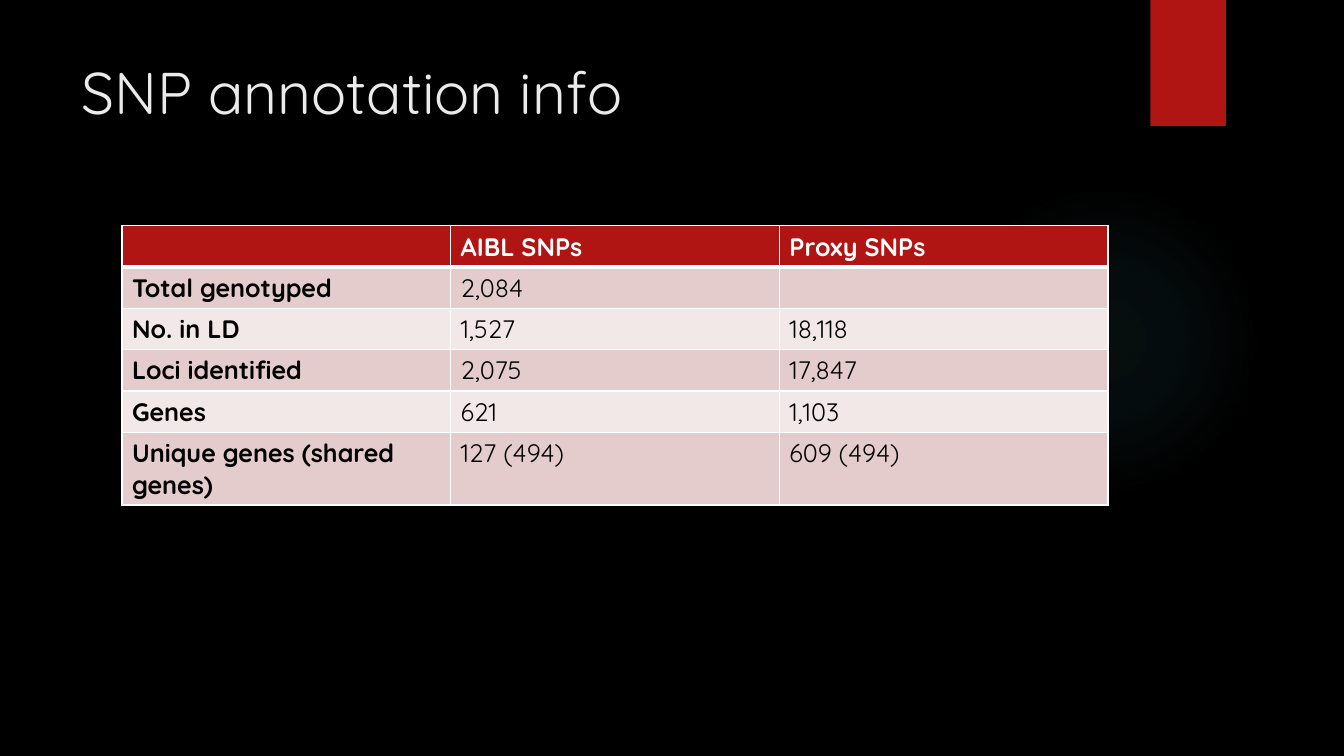
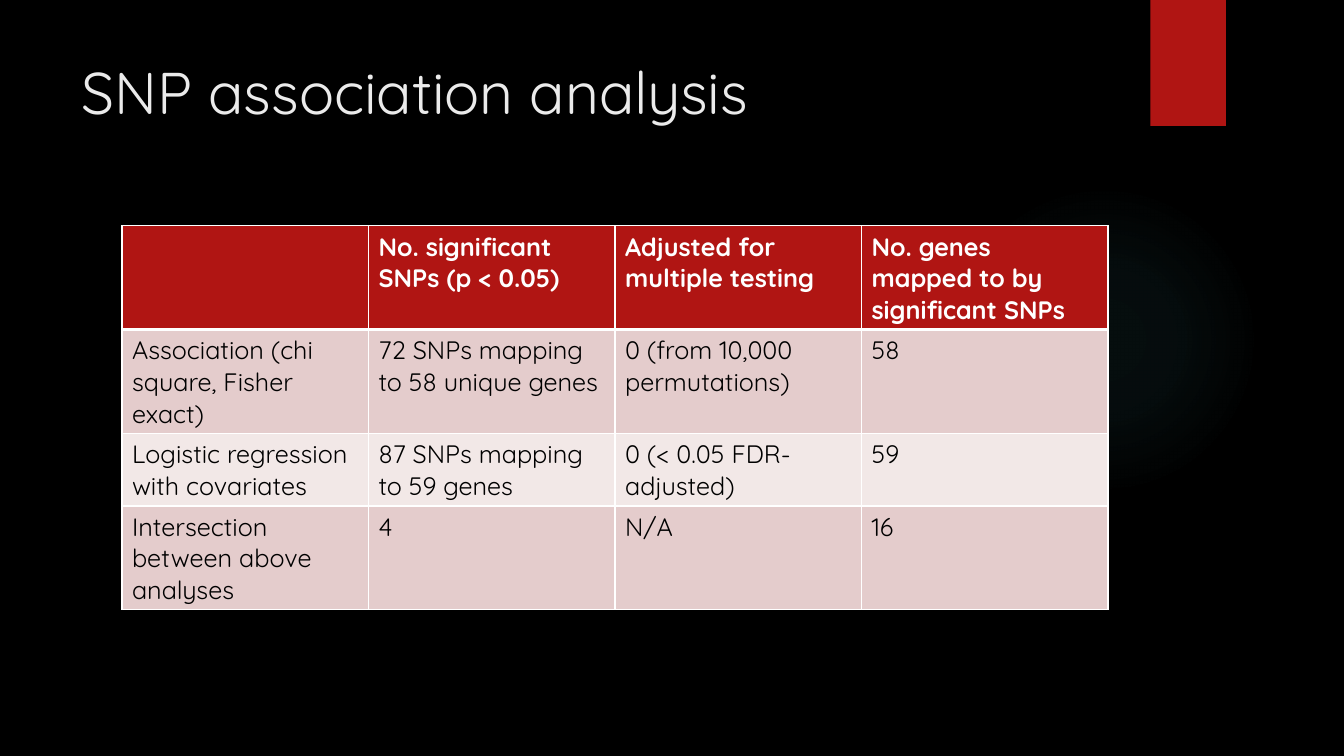
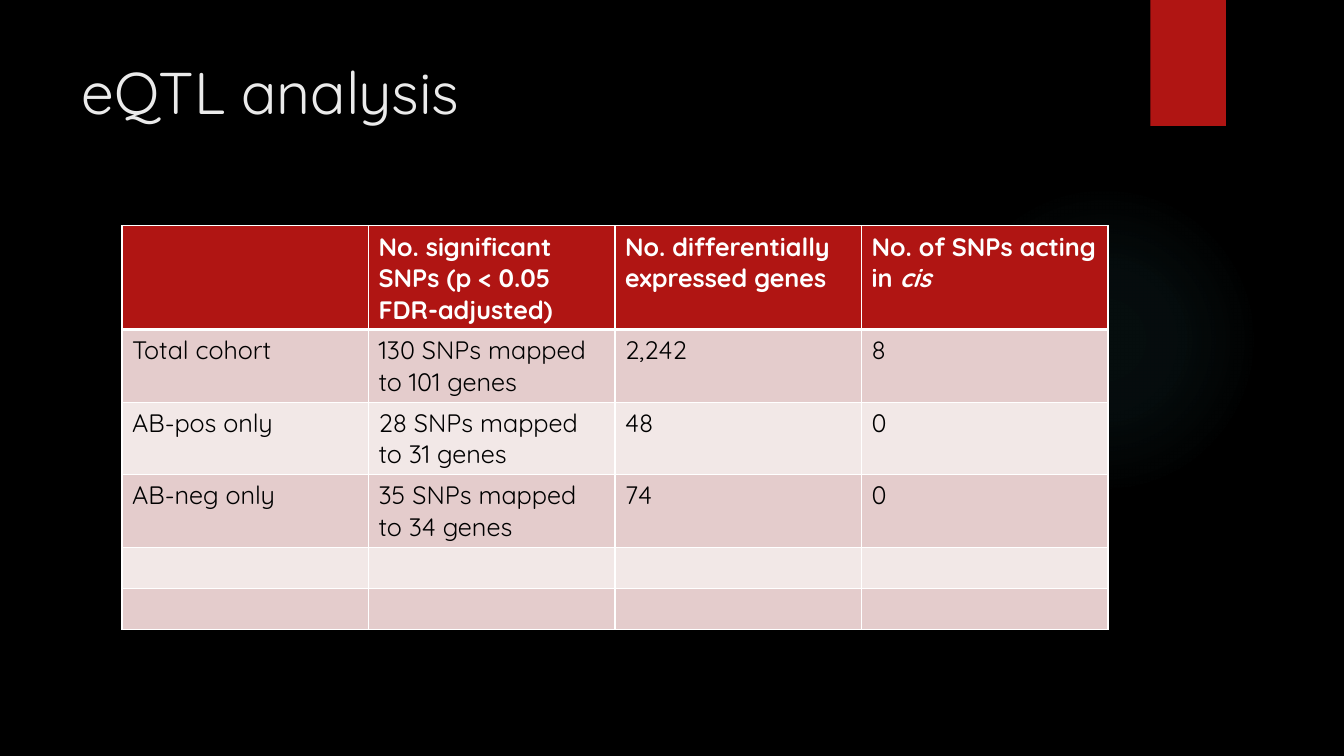
from lxml import etree
from pptx import Presentation
from pptx.dml.color import RGBColor
from pptx.enum.shapes import MSO_SHAPE as Shape
from pptx.enum.text import MSO_ANCHOR as Anchor
from pptx.oxml import parse_xml
from pptx.oxml.ns import nsdecls, qn
from pptx.util import Inches, Pt

COLORS = {
    "background": "000000",
    "accent": "B01513",
    "glow": "50B9C1",
    "title": "EBEBEB",
    "header_text": "FFFFFF",
    "body_text": "000000",
    "border": "FFFFFF",
    "odd_row": "E4CCCC",
    "even_row": "F2E8E7",
}
FONT = "Quicksand"

# Regions as left, top, width, height in inches
GLOW_BOX = (9.41, 1.83, 3.08, 3.08)
RIBBON_BOX = (11.41, 0, 0.75, 1.25)
TITLE_BOX = (0.71, 0.5, 10.29, 1.53)
TABLE_BOX = (1.21, 2.24, 9.78)
LINE_HEIGHT, CELL_PADDING = 0.31, 0.1

# Gradient position and opacity, both in percent
GLOW_STOPS = [(0, 7), (36, 6), (69, 0)]

# Each row: number of text lines it holds, then its cells.
# A cell given as a pair ends in an italic run.
TABLES = [
    ("SNP annotation info", True, [
        (1, ["", "AIBL SNPs", "Proxy SNPs"]),
        (1, ["Total genotyped", "2,084", ""]),
        (1, ["No. in LD", "1,527", "18,118"]),
        (1, ["Loci identified", "2,075", "17,847"]),
        (1, ["Genes", "621", "1,103"]),
        (2, ["Unique genes (shared genes)", "127 (494)", "609 (494)"]),
    ]),
    ("SNP association analysis", False, [
        (3, ["", "No. significant SNPs (p < 0.05)", "Adjusted for multiple testing",
             "No. genes mapped to by significant SNPs"]),
        (3, ["Association (chi square, Fisher exact)", "72 SNPs mapping to 58 unique genes",
             "0 (from 10,000 permutations)", "58"]),
        (2, ["Logistic regression with covariates", "87 SNPs mapping to 59 genes",
             "0 (< 0.05 FDR-adjusted)", "59"]),
        (3, ["Intersection between above analyses", "4", "N/A", "16"]),
    ]),
    ("eQTL analysis", False, [
        (3, ["", "No. significant SNPs (p < 0.05 FDR-adjusted)",
             "No. differentially expressed genes", ("No. of SNPs acting in ", "cis")]),
        (2, ["Total cohort", "130 SNPs mapped to 101 genes", "2,242", "8"]),
        (2, ["AB-pos only", "28 SNPs mapped to 31 genes", "48", "0"]),
        (2, ["AB-neg only", "35 SNPs mapped to 34 genes", "74", "0"]),
        (1, [""] * 4),
        (1, [""] * 4),
    ]),
]


def paint(fill, name):
    fill.solid()
    fill.fore_color.rgb = RGBColor.from_string(COLORS[name])


def set_font(font, size, color, bold=False):
    font.name = FONT
    font.size = Pt(size)
    font.bold = bold
    font.color.rgb = RGBColor.from_string(COLORS[color])


def add_plain_shape(page, kind, box):
    shape = page.shapes.add_shape(kind, *map(Inches, box))
    shape.shadow.inherit = False
    shape.line.fill.background()
    return shape


def add_glow(page, box):
    """Faint round light, fading outwards."""
    glow = add_plain_shape(page, Shape.OVAL, box)
    stops = "".join(
        f'<a:gs pos="{position * 1000}"><a:srgbClr val="{COLORS["glow"]}">'
        f'<a:alpha val="{opacity * 1000}"/></a:srgbClr></a:gs>'
        for position, opacity in GLOW_STOPS)
    gradient = parse_xml(
        f'<a:gradFill {nsdecls("a")} rotWithShape="1"><a:gsLst>{stops}</a:gsLst>'
        '<a:path path="circle"><a:fillToRect l="50000" t="50000" r="50000" b="50000"/>'
        '</a:path></a:gradFill>')
    glow.element.spPr.find(qn("a:prstGeom")).addnext(gradient)


def add_ribbon(page, box):
    paint(add_plain_shape(page, Shape.RECTANGLE, box).fill, "accent")


def add_title(page, box, text):
    frame = page.shapes.add_textbox(*map(Inches, box)).text_frame
    frame.word_wrap = True
    frame.vertical_anchor = Anchor.TOP
    para = frame.paragraphs[0]
    para.text = text
    set_font(para.font, 42, "title")


def set_borders(cell, top, bottom):
    """White lines on all sides; top and bottom widths in points."""
    properties = cell._tc.get_or_add_tcPr()
    sides = [("lnL", 1), ("lnR", 1), ("lnT", top), ("lnB", bottom)]
    for index, (side, width) in enumerate(sides):
        line = etree.Element(qn(f"a:{side}"), w=str(Pt(width)))
        fill = etree.SubElement(line, qn("a:solidFill"))
        etree.SubElement(fill, qn("a:srgbClr"), val=COLORS["border"])
        properties.insert(index, line)


def fill_cell(cell, content, row_index, bold):
    header = row_index == 0
    band = "odd_row" if row_index % 2 else "even_row"
    paint(cell.fill, "accent" if header else band)
    set_borders(cell, top=3 if row_index == 1 else 1, bottom=3 if header else 1)
    para = cell.text_frame.paragraphs[0]
    set_font(para.font, 18, "header_text" if header else "body_text", bold)
    if isinstance(content, tuple):
        plain, italic = content
        para.add_run().text = plain
        span = para.add_run()
        span.text = italic
        span.font.italic = True
    elif content:
        para.add_run().text = content


def add_data_table(page, box, rows, bold_labels):
    left, top, width = box
    heights = [CELL_PADDING + LINE_HEIGHT * lines for lines, _ in rows]
    column_count = len(rows[0][1])
    table = page.shapes.add_table(
        len(rows), column_count,
        Inches(left), Inches(top), Inches(width), Inches(sum(heights))).table
    for row_index, (_, contents) in enumerate(rows):
        table.rows[row_index].height = Inches(heights[row_index])
        for column_index, content in enumerate(contents):
            bold = row_index == 0 or (bold_labels and column_index == 0)
            fill_cell(table.cell(row_index, column_index), content, row_index, bold)


def add_table_page(deck, title, bold_labels, rows):
    page = deck.slides.add_slide(deck.slide_layouts[6])
    add_glow(page, GLOW_BOX)
    add_ribbon(page, RIBBON_BOX)
    add_title(page, TITLE_BOX, title)
    add_data_table(page, TABLE_BOX, rows, bold_labels)


def main():
    deck = Presentation()
    deck.slide_width, deck.slide_height = Inches(13.33), Inches(7.5)
    paint(deck.slide_master.background.fill, "background")
    for title, bold_labels, rows in TABLES:
        add_table_page(deck, title, bold_labels, rows)
    deck.save("out.pptx")


if __name__ == "__main__":
    main()
